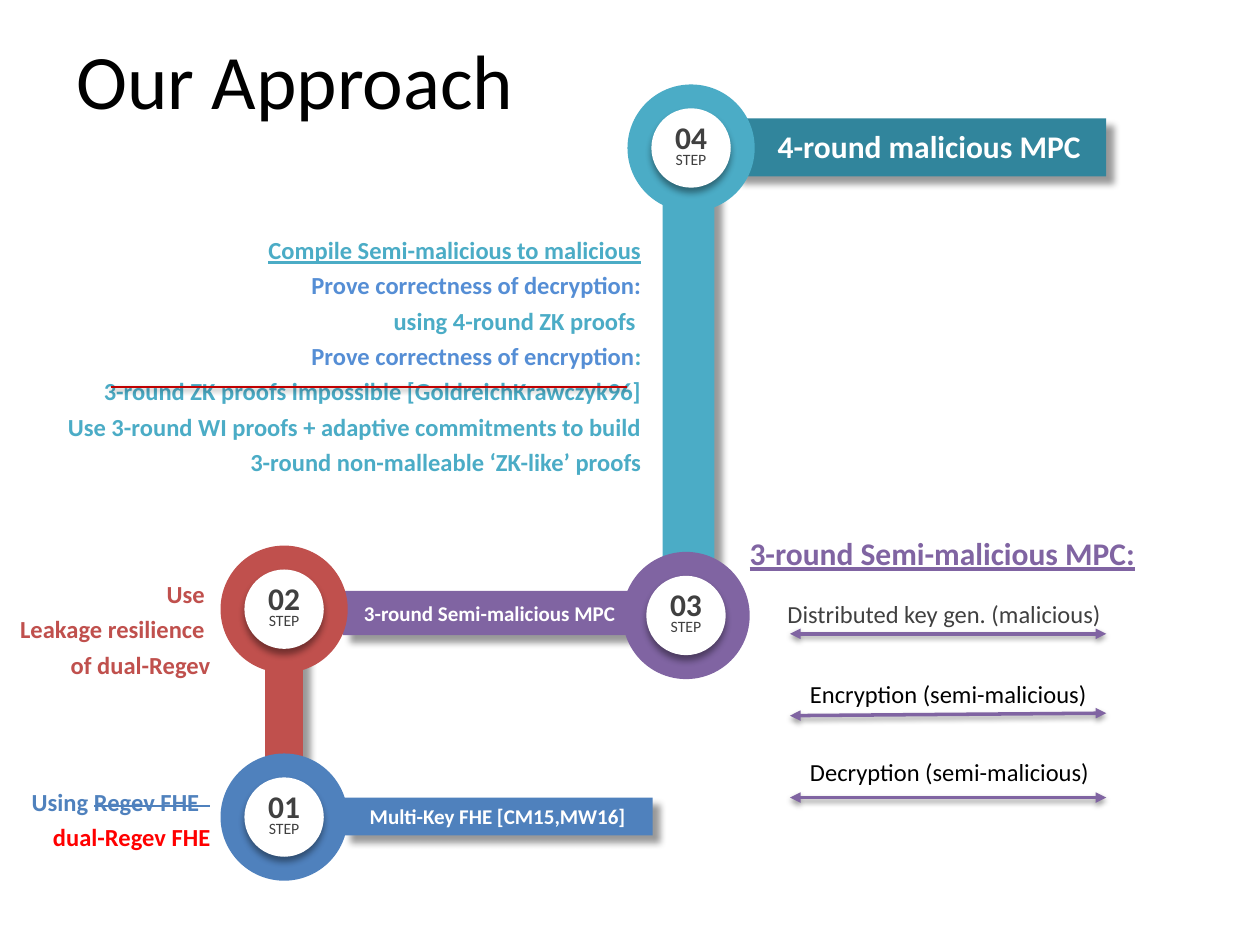
from pptx import Presentation
from pptx.dml.color import RGBColor
from pptx.enum.shapes import MSO_CONNECTOR as Connector, MSO_SHAPE as Shape
from pptx.enum.text import MSO_ANCHOR as Anchor, PP_ALIGN as Align
from pptx.oxml import parse_xml
from pptx.oxml.ns import nsdecls
from pptx.util import Inches, Pt

BLUE, RED, PURPLE, TEAL = "4F81BD", "C0504D", "8064A2", "4BACC6"
DARK_TEAL, SKY, GRAY = "31859C", "558ED5", "404040"
BLACK, WHITE = "000000", "FFFFFF"
COLUMNS, ROWS = 100, 75
RING, BADGE = 10.1, 6.3

# Blur (pt), distance (pt), direction (degrees), opacity (percent)
BAR_SHADOW = (4, 6, 45, 40)
BADGE_SHADOW = (4, 3, 90, 40)
LINE_SHADOW = (3.1, 1.6, 90, 38)


def color(hex_string):
    return RGBColor.from_string(hex_string)


class Board:
    """Current slide on a 100 by 75 grid, with the shared text and shape style."""

    font_name = "Calibri"

    def __init__(self, deck):
        self.slide = deck.slides.add_slide(deck.slide_layouts[6])
        self.column = deck.slide_width / COLUMNS
        self.row = deck.slide_height / ROWS

    def place(self, left, top, width, height):
        return (round(left * self.column), round(top * self.row),
                round(width * self.column), round(height * self.row))

    def cast_shadow(self, item, shadow):
        """Replace the theme's shadow with one of the shadow settings."""
        blur, distance, degrees, opacity = shadow
        item._element.spPr.append(parse_xml(
            f'<a:effectLst {nsdecls("a")}><a:outerShdw blurRad="{Pt(blur)}" '
            f'dist="{Pt(distance)}" dir="{degrees * 60000}" algn="ctr" rotWithShape="0">'
            f'<a:srgbClr val="{BLACK}"><a:alpha val="{opacity * 1000}"/></a:srgbClr>'
            '</a:outerShdw></a:effectLst>'))

    def style_font(self, font, size=None, tint=None, bold=None, underline=None):
        if size:
            font.size, font.name = Pt(size), self.font_name
        if tint:
            font.color.rgb = color(tint)
        if bold is not None:
            font.bold = bold
        if underline is not None:
            font.underline = underline

    def add_paragraphs(self, frame, paragraphs, align=Align.LEFT, spacing=None, **style):
        """Fill a frame; a paragraph is a string or (runs, style changes)."""
        for index, entry in enumerate(paragraphs):
            runs, changes = (entry, {}) if isinstance(entry, str) else entry
            para = frame.paragraphs[0] if index == 0 else frame.add_paragraph()
            para.alignment, para.line_spacing = align, spacing
            self.style_font(para.font, **{**style, **changes})
            for words, details in [(runs, {})] if isinstance(runs, str) else runs:
                span = para.add_run()
                span.text = words
                self.style_font(span.font, tint=details.get("tint"))
                if details.get("strike"):
                    span.font._element.set("strike", "sngStrike")

    def shape(self, preset, area, fill, shadow=None):
        item = self.slide.shapes.add_shape(preset, *self.place(*area))
        item.fill.solid()
        item.fill.fore_color.rgb = color(fill)
        item.line.fill.background()
        if shadow:
            self.cast_shadow(item, shadow)
        else:
            item.shadow.inherit = False
        return item

    def bar(self, area, fill, label=None):
        item = self.shape(Shape.RECTANGLE, area, fill, BAR_SHADOW)
        if label:
            item.text_frame.vertical_anchor = Anchor.MIDDLE
            self.add_paragraphs(item.text_frame, [label], Align.CENTER,
                                size=12, tint=WHITE, bold=True)

    def step(self, number, left, top, fill):
        self.shape(Shape.OVAL, (left, top, RING, RING), fill)
        inset = (RING - BADGE) / 2
        badge = self.shape(Shape.OVAL, (left + inset, top + inset, BADGE, BADGE),
                           WHITE, BADGE_SHADOW)
        self.trim(badge.text_frame)
        badge.text_frame.vertical_anchor = Anchor.MIDDLE
        self.add_paragraphs(badge.text_frame,
                            [f"{number:02}", ("STEP", {"size": 9, "bold": False})],
                            Align.CENTER, 0.7, size=18, tint=GRAY, bold=True)

    def trim(self, frame):
        frame.margin_left = frame.margin_right = 0
        frame.margin_top = frame.margin_bottom = 0

    def text(self, area, paragraphs, trimmed=False, wrap=True, anchor=Anchor.TOP, **style):
        frame = self.slide.shapes.add_textbox(*self.place(*area)).text_frame
        frame.word_wrap, frame.vertical_anchor = wrap, anchor
        if trimmed:
            self.trim(frame)
        self.add_paragraphs(frame, paragraphs, **style)

    def line(self, start, end, tint, width, arrows=False):
        ends = self.place(*start, *end)
        item = self.slide.shapes.add_connector(Connector.STRAIGHT, *ends)
        item.line.color.rgb = color(tint)
        item.line.width = Pt(width)
        if arrows:
            for tag in ("headEnd", "tailEnd"):
                item._element.spPr.get_or_add_ln().append(
                    parse_xml(f'<a:{tag} {nsdecls("a")} type="triangle"/>'))
        self.cast_shadow(item, LINE_SHADOW)


def main():
    deck = Presentation()
    deck.slide_width, deck.slide_height = Inches(10), Inches(7.5)
    board = Board(deck)

    board.bar((58.3, 9.4, 29.5, 4.6), DARK_TEAL)
    board.bar((52.6, 13.5, 4.1, 31.1), TEAL)
    board.bar((27.2, 46.9, 23.7, 3.5), PURPLE, "3-round Semi-malicious MPC ")
    board.bar((21.05, 51.5, 3, 10.5), RED)
    board.bar((27.2, 63.3, 24.6, 3), BLUE, "Multi-Key FHE [CM15,MW16]")

    steps = [(17.5, 59.8, BLUE), (17.5, 43.3, RED), (49.4, 43.8, PURPLE), (49.8, 6.7, TEAL)]
    for number, (left, top, fill) in enumerate(steps, start=1):
        board.step(number, left, top, fill)

    note = dict(trimmed=True, align=Align.RIGHT, spacing=1.2, size=14, bold=True)
    board.text((1, 62, 15.7, 6.6), [
        ([("Using ", {}), ("Regev FHE  ", {"strike": True})], {}),
        ("dual-Regev FHE", {"tint": "FF0000"}),
    ], tint=BLUE, **note)
    board.text((1, 45.5, 15.7, 8.8),
               ["Use ", "Leakage resilience ", "of dual-Regev"], tint=RED, **note)
    board.text((5.2, 18.2, 45.7, 8.8), [
        ("Compile Semi-malicious to malicious", {"underline": True}),
        ("Prove correctness of decryption:", {"tint": SKY}),
        "using 4-round ZK proofs ",
        ([("Prove correctness of encryption", {"tint": SKY}), (":", {})], {}),
        "3-round ZK proofs impossible [GoldreichKrawczyk96]",
        "Use 3-round WI proofs + adaptive commitments to build "
        "3-round non-malleable ‘ZK-like’ proofs",
    ], tint=TEAL, **note)

    board.text((1, 0, 46.2, 12.5), ["Our Approach "], anchor=Anchor.MIDDLE,
               align=Align.CENTER, size=44, tint=BLACK)

    board.text((62.5, 47.1, 25.3, 8.8), ["Distributed key gen. (malicious)"],
               trimmed=True, spacing=1.2, size=14, tint=GRAY)
    for top, phase in ((53.4, "Encryption"), (59.6, "Decryption")):
        board.text((63.3, top, 29.5, 3.4), [f"{phase} (semi-malicious)"],
                   size=14, tint=BLACK)
    for start, end in ((50.3, 50.3), (56.8, 56.6), (63.3, 63.3)):
        board.line((62.7, start), (87.8, end), PURPLE, 2, arrows=True)

    heading = dict(wrap=False, size=18, bold=True)
    board.text((58.5, 41.9, 32.9, 4), ["3-round Semi-malicious MPC:"],
               tint=PURPLE, underline=True, **heading)
    board.text((60.6, 9.6, 26.3, 4), ["4-round malicious MPC"],
               tint=WHITE, align=Align.CENTER, **heading)
    board.line((8.8, 30.7), (49.8, 30.7), "C00000", 1)

    deck.save("out.pptx")


if __name__ == "__main__":
    main()
